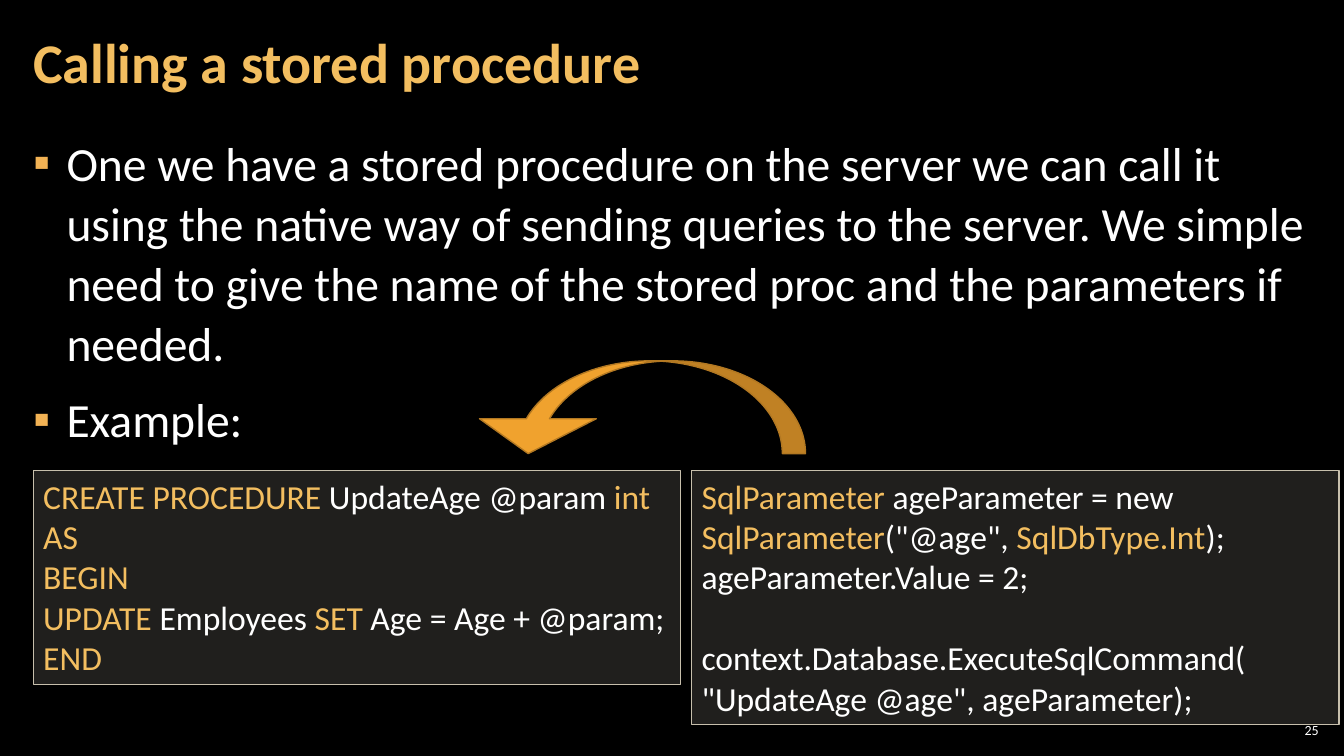
from lxml import etree
from pptx import Presentation
from pptx.dml.color import RGBColor
from pptx.enum.shapes import MSO_SHAPE
from pptx.enum.text import MSO_ANCHOR, PP_ALIGN
from pptx.oxml.ns import qn
from pptx.util import Inches, Pt

RECTANGLE = MSO_SHAPE.RECTANGLE
CURVED_ARROW = MSO_SHAPE.CURVED_DOWN_ARROW
TOP, MIDDLE = MSO_ANCHOR.TOP, MSO_ANCHOR.MIDDLE
LEFT, RIGHT = PP_ALIGN.LEFT, PP_ALIGN.RIGHT

FONT = "Calibri"
BLACK, WHITE = "000000", "FFFFFF"
GOLD, BULLET_GOLD = "F3BE60", "F2B254"
PANEL, PANEL_LINE = "D9D5C7", "C7BFAC"
ARROW, ARROW_LINE = "F0A22E", "B27822"

INTRO = ("One we have a stored procedure on the server we can call it using "
         "the native way of sending queries to the server. We simple need to "
         "give the name of the stored proc and the parameters if needed.")

# Code lines: each is a list of (text, colour) runs
SQL_CODE = [
    [("CREATE PROCEDURE", GOLD), (" UpdateAge @param ", WHITE), ("int", GOLD)],
    [("AS", GOLD)],
    [("BEGIN", GOLD)],
    [("UPDATE", GOLD), (" Employees ", WHITE), ("SET", GOLD),
     (" Age = Age + @param;", WHITE)],
    [("END", GOLD)],
]
CSHARP_CODE = [
    [("SqlParameter", GOLD), (" ageParameter = new ", WHITE),
     ("SqlParameter", GOLD), ('("@age", ', WHITE), ("SqlDbType.Int", GOLD),
     (");", WHITE)],
    [("ageParameter.Value = 2;", WHITE)],
    [("context.Database.ExecuteSqlCommand(", WHITE)],
    [('"UpdateAge @age", ageParameter);', WHITE)],
]


def color(hex_value):
    return RGBColor.from_string(hex_value)


def set_frame(frame, margin_x, margin_y, anchor=TOP):
    frame.word_wrap = True
    frame.vertical_anchor = anchor
    frame.margin_left = frame.margin_right = Inches(margin_x)
    frame.margin_top = frame.margin_bottom = Inches(margin_y)


def write_lines(frame, lines, size, bold=False, align=LEFT):
    for index, runs in enumerate(lines):
        line = frame.add_paragraph() if index else frame.paragraphs[0]
        line.alignment = align
        for text, hex_value in runs:
            run = line.add_run()
            run.text = text
            run.font.name = FONT
            run.font.size = Pt(size)
            run.font.bold = bold
            run.font.color.rgb = color(hex_value)


def add_text(slide, box, lines, size, margin_x=0.12, anchor=TOP, **style):
    frame = slide.shapes.add_textbox(*map(Inches, box)).text_frame
    set_frame(frame, margin_x, 0.04, anchor)
    write_lines(frame, lines, size, **style)
    return frame.paragraphs


def add_bullet(paragraph):
    paragraph.line_spacing = 1.05
    paragraph.space_before = paragraph.space_after = Pt(6)
    properties = paragraph._p.get_or_add_pPr()
    properties.set("marL", str(Inches(0.33)))
    properties.set("indent", str(Inches(-0.33)))
    bullet_color = etree.SubElement(properties, qn("a:buClr"))
    etree.SubElement(bullet_color, qn("a:srgbClr"), val=BULLET_GOLD)
    etree.SubElement(properties, qn("a:buFont"), typeface=FONT)
    etree.SubElement(properties, qn("a:buChar"), char="▪")


def add_filled_shape(slide, kind, box, fill, line):
    shape = slide.shapes.add_shape(kind, *map(Inches, box))
    shape.shadow.inherit = False
    shape.fill.solid()
    shape.fill.fore_color.rgb = color(fill)
    shape.line.color.rgb = color(line)
    shape.line.width = Pt(1)
    return shape


def add_code_panel(slide, left, height, code):
    panel = add_filled_shape(slide, RECTANGLE, (left, 4.67, 6.42, height),
                             PANEL, PANEL_LINE)
    # Panel fill is 15% opaque
    fill_color = panel._element.spPr.find(qn("a:solidFill"))[0]
    etree.SubElement(fill_color, qn("a:alpha"), val="15000")
    set_frame(panel.text_frame, 0.1, 0.05)
    write_lines(panel.text_frame, code, 24)
    return panel.text_frame.paragraphs


def add_call_arrow(slide):
    arrow = add_filled_shape(slide, CURVED_ARROW, (4.66, 3.58, 3.33, 0.92),
                             ARROW, ARROW_LINE)
    for index, value in enumerate((0.25, 1.259, 0.376)):
        arrow.adjustments[index] = value
    arrow._element.spPr.find(qn("a:xfrm")).set("flipH", "1")


def main():
    deck = Presentation()
    deck.slide_width, deck.slide_height = Inches(13.33), Inches(7.5)
    slide = deck.slides.add_slide(deck.slide_layouts[6])
    slide.background.fill.solid()
    slide.background.fill.fore_color.rgb = color(BLACK)

    # Slide number
    add_text(slide, (12.65, 7.14, 0.47, 0.21), [[("25", WHITE)]], 10,
             margin_x=0.04, anchor=MIDDLE, align=RIGHT)

    # Explanation
    points = add_text(slide, (0.21, 1.26, 12.91, 6.09),
                      [[(INTRO, WHITE)], [("Example:", WHITE)]], 34)
    for point in points:
        add_bullet(point)

    # Title
    title = add_text(slide, (0.21, 0.04, 10.47, 1.21),
                     [[("Calling a stored procedure", GOLD)]], 40,
                     anchor=MIDDLE, bold=True)
    title[0].line_spacing = 0.9

    # Procedure and the code that calls it
    add_code_panel(slide, 0.33, 2.12, SQL_CODE)
    calling_lines = add_code_panel(slide, 6.86, 2.52, CSHARP_CODE)
    calling_lines[2].space_before = Pt(29)  # one line of space
    add_call_arrow(slide)

    deck.save("out.pptx")


if __name__ == "__main__":
    main()
